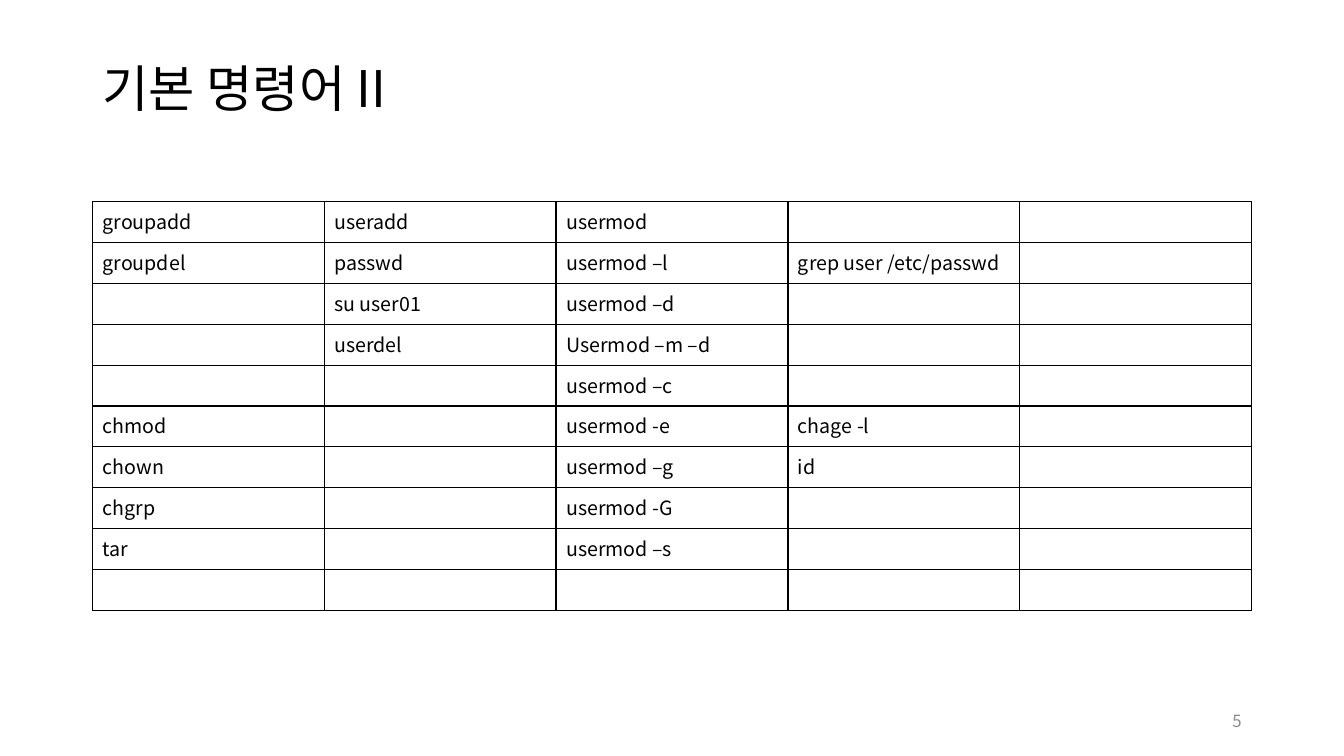
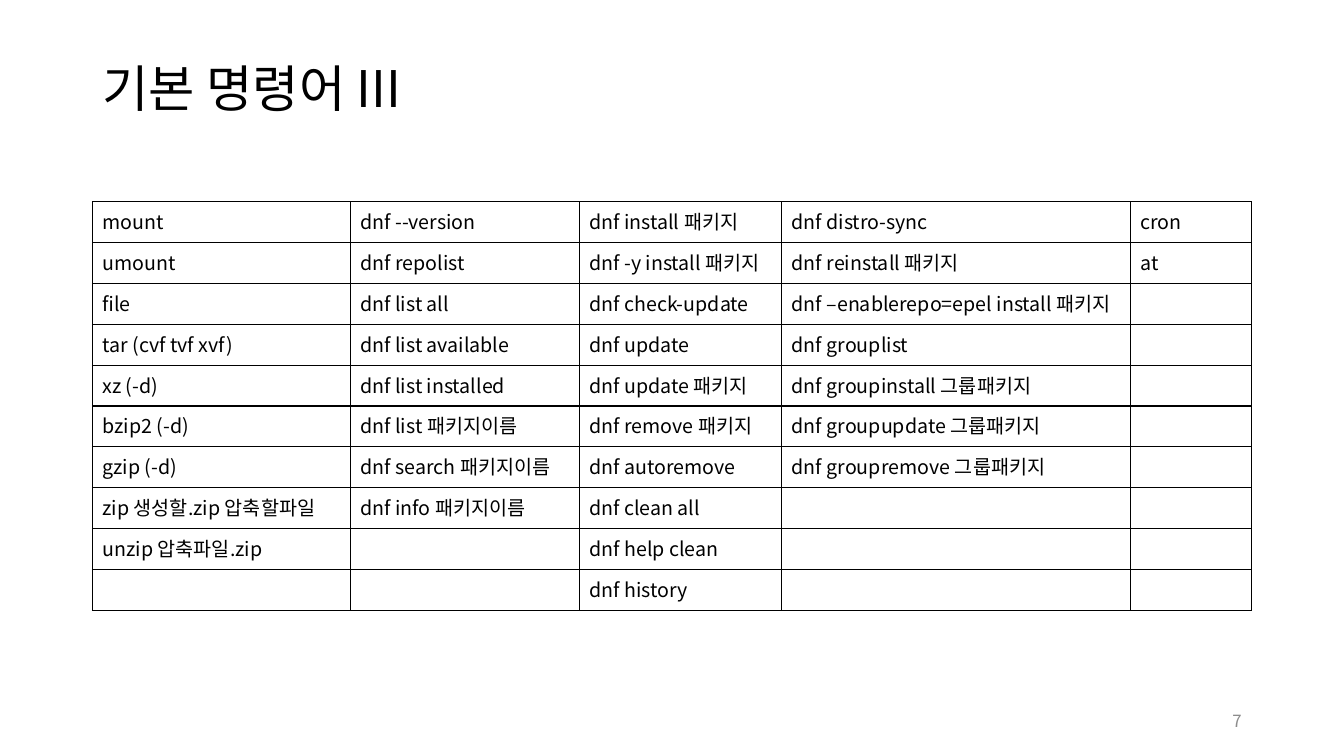
from lxml import etree
from pptx import Presentation
from pptx.dml.color import RGBColor
from pptx.enum.text import MSO_ANCHOR, PP_ALIGN
from pptx.oxml.ns import qn
from pptx.util import Cm, Pt

# Shared style
FONT = "Noto Sans CJK KR"
BLACK = RGBColor(0x00, 0x00, 0x00)
GREY = RGBColor(0x8C, 0x8C, 0x8C)
LEFT, RIGHT = PP_ALIGN.LEFT, PP_ALIGN.RIGHT
MIDDLE = MSO_ANCHOR.MIDDLE
MARGIN = 2.33
CONTENT_WIDTH = 29.21
TABLE_TOP = 5.08
ROW_COUNT = 10
ROW_HEIGHT = 1.03
CELL_SIZE = 14
BORDER_WIDTH = Pt(1)
BORDER_SIDES = ("a:lnL", "a:lnR", "a:lnT", "a:lnB")

# Table contents, column by column
USER_COLUMNS = [
    ["groupadd", "groupdel", "", "", "", "chmod", "chown", "chgrp", "tar"],
    ["useradd", "passwd", "su user01", "userdel"],
    ["usermod", "usermod –l", "usermod –d", "Usermod –m –d", "usermod –c",
     "usermod -e", "usermod –g", "usermod -G", "usermod –s"],
    ["", "grep user /etc/passwd", "", "", "", "chage -l", "id"],
    [],
]
PACKAGE_COLUMNS = [
    ["mount", "umount", "file", "tar (cvf tvf xvf)", "xz (-d)", "bzip2 (-d)",
     "gzip (-d)", "zip 생성할.zip 압축할파일", "unzip 압축파일.zip"],
    ["dnf --version", "dnf repolist", "dnf list all", "dnf list available",
     "dnf list installed", "dnf list 패키지이름", "dnf search 패키지이름",
     "dnf info 패키지이름"],
    ["dnf install 패키지", "dnf -y install 패키지", "dnf check-update",
     "dnf update", "dnf update 패키지", "dnf remove 패키지", "dnf autoremove",
     "dnf clean all", "dnf help clean", "dnf history"],
    ["dnf distro-sync", "dnf reinstall 패키지",
     "dnf –enablerepo=epel install 패키지", "dnf grouplist",
     "dnf groupinstall 그룹패키지", "dnf groupupdate 그룹패키지",
     "dnf groupremove 그룹패키지"],
    ["cron", "at"],
]
SLIDES = [
    ("기본 명령어 II", USER_COLUMNS, [CONTENT_WIDTH / 5] * 5, 5),
    ("기본 명령어 III", PACKAGE_COLUMNS, [6.5, 5.77, 5.1, 8.79, 3.05], 7),
]


def write_text(frame, text, size=CELL_SIZE, color=BLACK, align=LEFT, spacing=None):
    para = frame.paragraphs[0]
    para.alignment = align
    para.line_spacing = spacing
    if not text:
        # An empty cell keeps the text size, so its row does not grow
        etree.SubElement(para._p, qn("a:endParaRPr"), sz=str(size * 100))
        return
    span = para.add_run()
    span.text = text
    span.font.name = FONT
    span.font.size = Pt(size)
    span.font.color.rgb = color
    # Korean letters take the East Asian font
    etree.SubElement(span._r.get_or_add_rPr(), qn("a:ea"), typeface=FONT)


def add_text(page, text, left, top, width, height, **text_format):
    box = page.shapes.add_textbox(Cm(left), Cm(top), Cm(width), Cm(height))
    frame = box.text_frame
    frame.word_wrap = True
    frame.vertical_anchor = MIDDLE
    write_text(frame, text, **text_format)


def add_borders(cell):
    properties = cell._tc.get_or_add_tcPr()
    for side in BORDER_SIDES:
        line = etree.SubElement(properties, qn(side), w=str(BORDER_WIDTH))
        fill = etree.SubElement(line, qn("a:solidFill"))
        etree.SubElement(fill, qn("a:srgbClr"), val=str(BLACK))


def add_command_table(page, columns, widths):
    table = page.shapes.add_table(
        ROW_COUNT, len(columns), Cm(MARGIN), Cm(TABLE_TOP),
        Cm(CONTENT_WIDTH), Cm(ROW_HEIGHT * ROW_COUNT)).table
    table.first_row = False
    table.horz_banding = False
    for row in table.rows:
        row.height = Cm(ROW_HEIGHT)
    for index, (commands, width) in enumerate(zip(columns, widths)):
        table.columns[index].width = Cm(width)
        for row_index in range(ROW_COUNT):
            cell = table.cell(row_index, index)
            add_borders(cell)
            cell.fill.background()
            write_text(cell.text_frame,
                       commands[row_index] if row_index < len(commands) else "")


def add_page(deck, title, columns, widths, number):
    page = deck.slides.add_slide(deck.slide_layouts[6])
    add_text(page, title, MARGIN, 1.01, CONTENT_WIDTH, 2.57, size=36, spacing=0.9)
    add_command_table(page, columns, widths)
    # Page number
    add_text(page, str(number), 23.92, 17.65, 7.62, 1.01,
             size=12, color=GREY, align=RIGHT)


def main():
    deck = Presentation()
    deck.slide_width, deck.slide_height = Cm(33.87), Cm(19.05)
    for content in SLIDES:
        add_page(deck, *content)
    deck.save("out.pptx")


if __name__ == "__main__":
    main()
